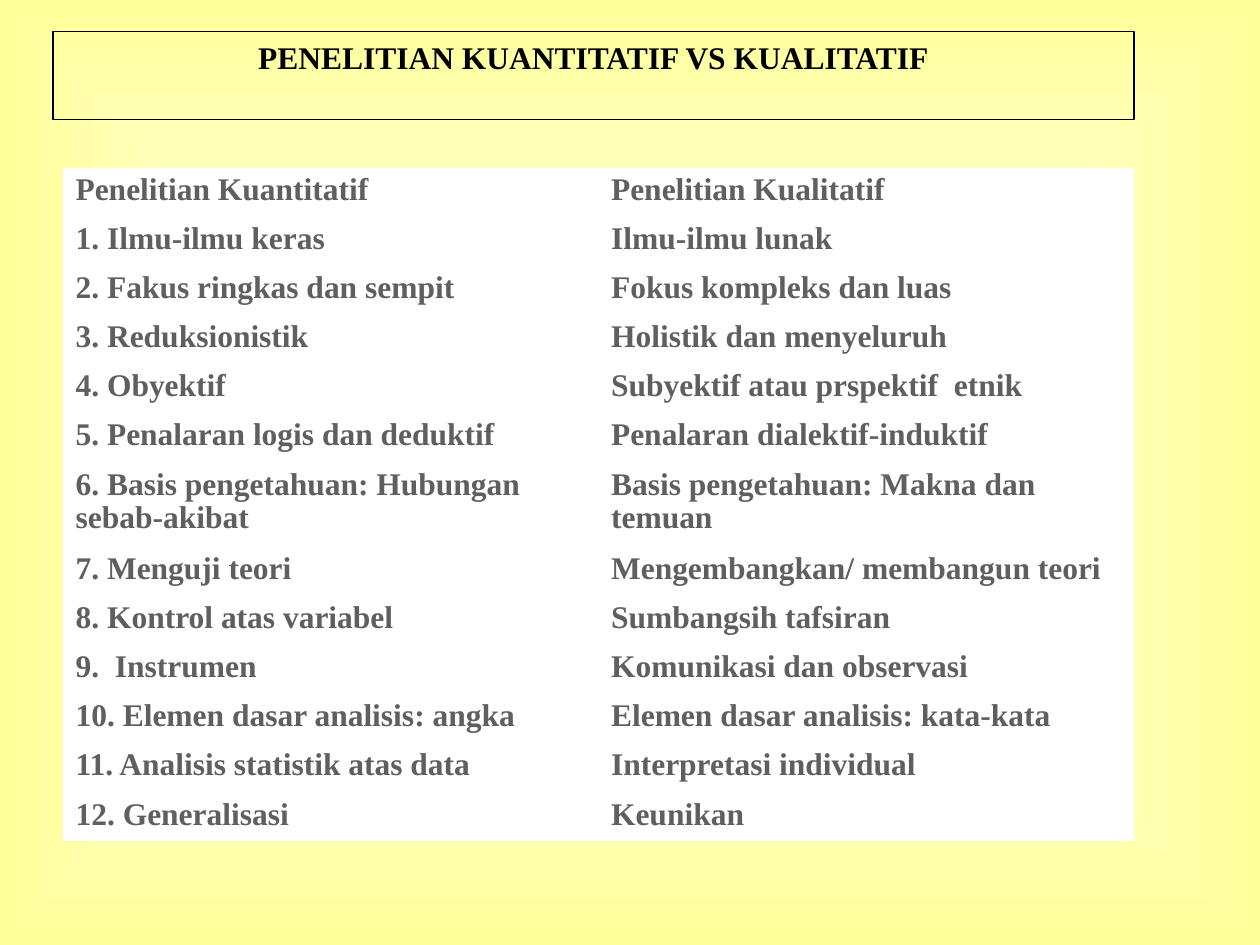
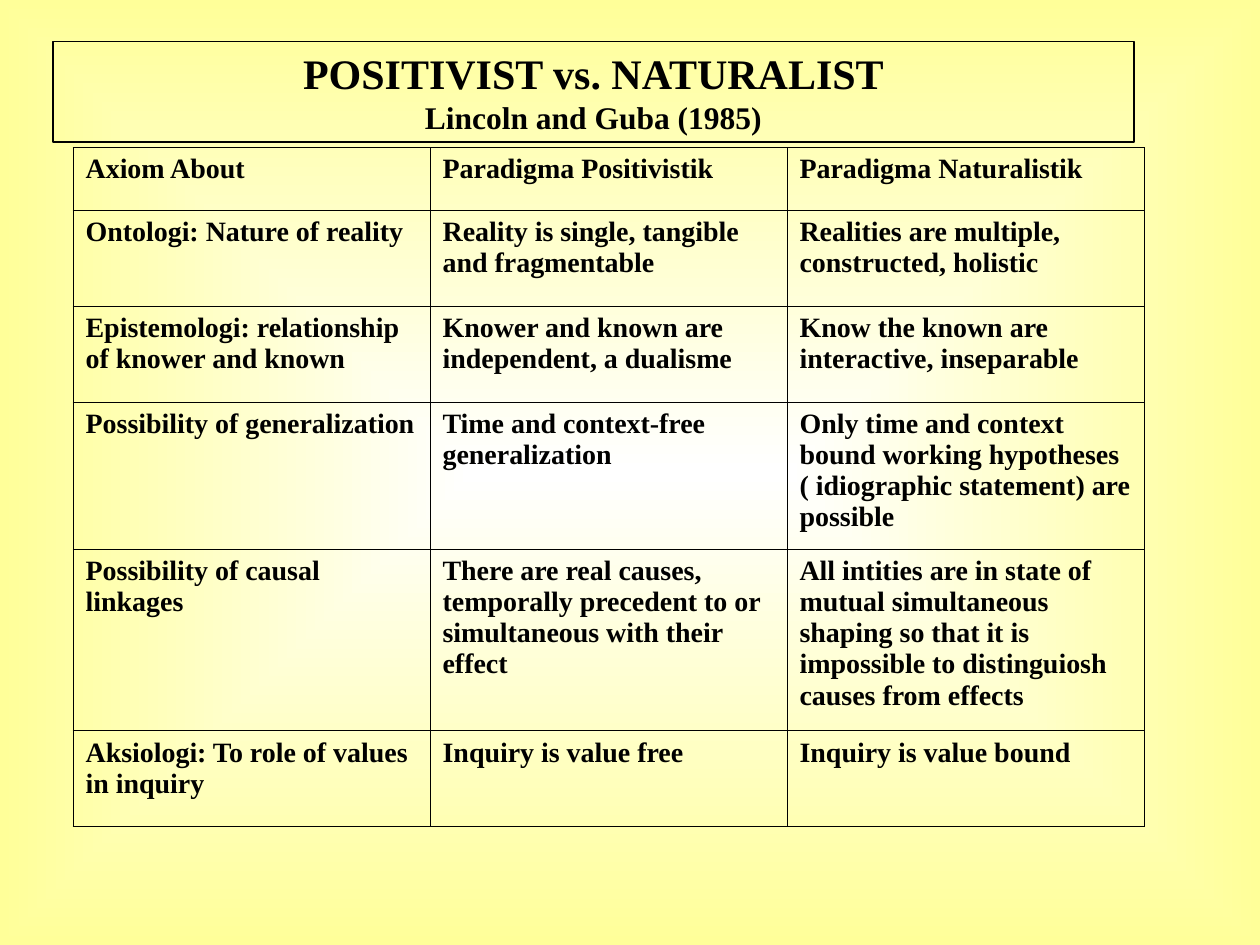
"""Build two slides that compare research approaches and paradigms."""
import lxml.etree
import pptx
import pptx.dml.color
import pptx.enum.text
import pptx.oxml.ns
import pptx.util

Inches = pptx.util.Inches
Pt = pptx.util.Pt
qn = pptx.oxml.ns.qn

BLACK = pptx.dml.color.RGBColor(0x00, 0x00, 0x00)
GREY = pptx.dml.color.RGBColor(0x5F, 0x5F, 0x5F)
WHITE = pptx.dml.color.RGBColor(0xFF, 0xFF, 0xFF)
YELLOW = pptx.dml.color.RGBColor(0xFF, 0xFF, 0x99)
FONT = {"name": "Times New Roman", "bold": True}
PLAIN = "{2D5ABB26-0587-4C30-8999-92F81FD0307C}"
LEFT, WIDTH = 0.42, 8.58
GRID = 8.5

SLIDES = [
    {
        "title": [("PENELITIAN KUANTITATIF VS KUALITATIF", 18)],
        "top": 0.25, "height": 0.7,
        "grid": (0.5, 1.33),
        "size": 16 + 2, "color": GREY, "fill": WHITE, "space": 0.95, "edge": None,
        "tall": [0.39] * 6 + [0.67] + [0.39] * 6,
        "rows": [
            ("Penelitian Kuantitatif", "Penelitian Kualitatif"),
            ("1. Ilmu-ilmu keras", "Ilmu-ilmu lunak"),
            ("2. Fakus ringkas dan sempit", "Fokus kompleks dan luas"),
            ("3. Reduksionistik", "Holistik dan menyeluruh"),
            ("4. Obyektif", "Subyektif atau prspektif  etnik"),
            ("5. Penalaran logis dan deduktif", "Penalaran dialektif-induktif"),
            ("6. Basis pengetahuan: Hubungan sebab-akibat",
             "Basis pengetahuan: Makna dan temuan"),
            ("7. Menguji teori", "Mengembangkan/ membangun teori"),
            ("8. Kontrol atas variabel", "Sumbangsih tafsiran"),
            ("9.  Instrumen", "Komunikasi dan observasi"),
            ("10. Elemen dasar analisis: angka", "Elemen dasar analisis: kata-kata"),
            ("11. Analisis statistik atas data", "Interpretasi individual"),
            ("12. Generalisasi", "Keunikan"),
        ],
    },
    {
        "title": [("POSITIVIST vs. NATURALIST", 24), ("Lincoln and Guba (1985)", 18)],
        "top": 0.33, "height": 0.8,
        "grid": (0.58, 1.17),
        "size": 16, "color": BLACK, "fill": None, "space": 1.0, "edge": 0.45,
        "tall": [0.5, 0.76, 0.76, 1.17, 1.44, 0.76],
        "rows": [
            ("Axiom About", "Paradigma Positivistik", "Paradigma Naturalistik"),
            ("Ontologi: Nature of reality",
             "Reality is single, tangible and fragmentable",
             "Realities are multiple, constructed, holistic"),
            ("Epistemologi: relationship of knower and known",
             "Knower and known are independent, a dualisme",
             "Know the known are interactive, inseparable"),
            ("Possibility of generalization",
             "Time and context-free generalization",
             "Only time and context bound working hypotheses "
             "( idiographic statement) are possible"),
            ("Possibility of causal linkages",
             "There are real causes, temporally precedent to or "
             "simultaneous with their effect",
             "All intities are in state of mutual simultaneous shaping so that "
             "it is impossible to distinguiosh causes from effects"),
            ("Aksiologi: To role of values in inquiry",
             "Inquiry is value free", "Inquiry is value bound"),
        ],
    },
]


def style(para, text, size, color):
    run = para.add_run()
    run.text = text
    for key, value in {**FONT, "size": Pt(size)}.items():
        setattr(run.font, key, value)
    run.font.color.rgb = color


def paint(master):
    fill = master.background.fill
    fill.gradient()
    for stop, color in zip(fill.gradient_stops, (WHITE, YELLOW)):
        stop.color.rgb = color
    line = next(master.element.iter(qn("a:lin")))
    path = lxml.etree.Element(qn("a:path"), path="rect")
    sides = dict.fromkeys("ltrb", "50000")
    lxml.etree.SubElement(path, qn("a:fillToRect"), sides)
    line.getparent().replace(line, path)


def add_title(slide, page):
    box = slide.shapes.add_textbox(
        *map(Inches, (LEFT, page["top"], WIDTH, page["height"])))
    box.line.color.rgb = BLACK
    box.line.width = Pt(1)
    frame = box.text_frame
    frame.word_wrap = True
    for num, (text, size) in enumerate(page["title"]):
        para = frame.add_paragraph() if num else frame.paragraphs[0]
        para.alignment = pptx.enum.text.PP_ALIGN.CENTER
        style(para, text, size, BLACK)


def add_edges(cell, width):
    props = cell._tc.get_or_add_tcPr()
    for side in ("lnL", "lnR", "lnT", "lnB"):
        line = lxml.etree.SubElement(props, qn("a:" + side), w=str(Pt(width)))
        solid = lxml.etree.SubElement(line, qn("a:solidFill"))
        lxml.etree.SubElement(solid, qn("a:srgbClr"), val=str(BLACK))


def add_grid(slide, page):
    rows, tall = page["rows"], page["tall"]
    count = len(rows[0])
    frame = slide.shapes.add_table(
        len(rows), count, *map(Inches, (*page["grid"], GRID, sum(tall))))
    table = frame.table
    table.first_row = table.horz_banding = False
    next(frame.element.iter(qn("a:tableStyleId"))).text = PLAIN
    for col in table.columns:
        col.width = Inches(GRID / count)
    for row, height, texts in zip(table.rows, tall, rows):
        row.height = Inches(height)
        for cell, text in zip(row.cells, texts):
            if page["edge"]:
                add_edges(cell, page["edge"])
            if page["fill"] is None:
                cell.fill.background()
            else:
                cell.fill.solid()
                cell.fill.fore_color.rgb = page["fill"]
            para = cell.text_frame.paragraphs[0]
            para.line_spacing = page["space"]
            style(para, text, page["size"], page["color"])


def main():
    deck = pptx.Presentation()
    deck.slide_width, deck.slide_height = Inches(10), Inches(7.5)
    paint(deck.slide_master)
    for page in SLIDES:
        slide = deck.slides.add_slide(deck.slide_layouts[6])
        add_title(slide, page)
        add_grid(slide, page)
    deck.save("out.pptx")


if __name__ == "__main__":
    main()
